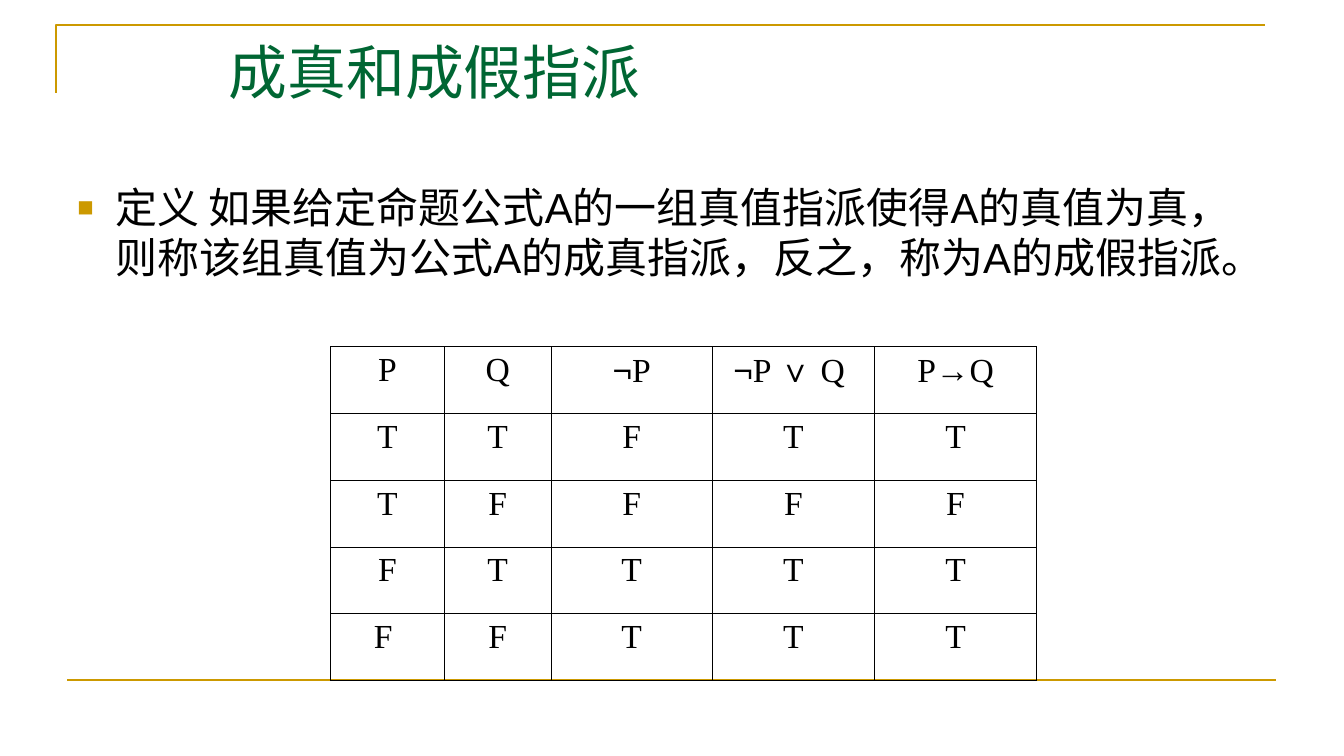
from dataclasses import dataclass
from itertools import groupby

from lxml import etree
from pptx import Presentation
from pptx.dml.color import RGBColor
from pptx.enum.shapes import MSO_CONNECTOR
from pptx.enum.text import MSO_ANCHOR, MSO_AUTO_SIZE, PP_ALIGN
from pptx.oxml.ns import qn
from pptx.util import Inches, Pt

STRAIGHT = MSO_CONNECTOR.STRAIGHT
TOP = MSO_ANCHOR.TOP
NO_AUTOFIT = MSO_AUTO_SIZE.NONE
LEFT, CENTER = PP_ALIGN.LEFT, PP_ALIGN.CENTER


@dataclass(frozen=True)
class Theme:
    gold: str = "CC9900"
    green: str = "006633"
    black: str = "000000"
    serif: str = "Times New Roman"
    sans: str = "Arial"
    title_size: float = 42
    body_size: float = 30
    table_size: float = 24
    rule_width: float = 1.5
    border_width: float = 0.45


THEME = Theme()
TITLE = "成真和成假指派"
DEFINITION = (
    "定义 如果给定命题公式A的一组真值指派使得A的真值为真，"
    "则称该组真值为公式A的成真指派，反之，称为A的成假指派。"
)
TRUTH_TABLE = [
    ["P", "Q", "¬P", "¬P ∨ Q ", "P→Q"],
    ["T", "T", "F", "T", "T"],
    ["T", "F", "F", "F", "F"],
    ["F", "T", "T", "T", "T"],
    ["F ", "F", "T", "T", "T"],
]
COLUMN_WIDTHS = [1.13, 1.06, 1.6, 1.61, 1.61]
SANS_SYMBOLS = "¬→"


def style_font(font, name, size, color):
    font.name = name
    font.size = Pt(size)
    font.color.rgb = RGBColor.from_string(color)


def style_rule(line):
    line.color.rgb = RGBColor.from_string(THEME.gold)
    line.width = Pt(THEME.rule_width)


def add_frame(slide, left, top, width, height):
    """Draw the corner bracket at the top left and the rule at the bottom."""
    bracket_height, rule_shift = 0.67, 0.11
    builder = slide.shapes.build_freeform(
        Inches(left), Inches(top + bracket_height)
    )
    corner = (Inches(left), Inches(top))
    end = (Inches(left + width), Inches(top))
    builder.add_line_segments([corner, end], close=False)
    bracket = builder.convert_to_shape()
    bracket.shadow.inherit = False
    bracket.fill.background()
    style_rule(bracket.line)

    rule_left, bottom = left + rule_shift, Inches(top + height)
    rule = slide.shapes.add_connector(
        STRAIGHT, Inches(rule_left), bottom, Inches(rule_left + width), bottom
    )
    style_rule(rule.line)
    etree.SubElement(rule._element.spPr, qn("a:effectLst"))


def set_title(slide, left, top, width, height):
    title = slide.shapes.title
    title.left, title.top = Inches(left), Inches(top)
    title.width, title.height = Inches(width), Inches(height)
    text_frame = title.text_frame
    text_frame.text = TITLE
    text_frame.vertical_anchor = TOP
    text_frame.auto_size = NO_AUTOFIT
    paragraph = text_frame.paragraphs[0]
    paragraph.alignment = LEFT
    style_font(paragraph.runs[0].font, THEME.serif, THEME.title_size, THEME.green)


def add_square_bullet(paragraph, indent):
    properties = paragraph._p.get_or_add_pPr()
    properties.set("marL", str(Inches(indent)))
    properties.set("indent", str(-Inches(indent)))
    color = etree.SubElement(properties, qn("a:buClr"))
    etree.SubElement(color, qn("a:srgbClr"), val=THEME.gold)
    etree.SubElement(properties, qn("a:buSzPct"), val="65000")
    etree.SubElement(properties, qn("a:buFont"), typeface=THEME.sans)
    etree.SubElement(properties, qn("a:buChar"), char="■")


def add_definition(slide, left, top, width, height):
    box = slide.shapes.add_textbox(
        Inches(left), Inches(top), Inches(width), Inches(height)
    )
    text_frame = box.text_frame
    text_frame.word_wrap = True
    text_frame.text = DEFINITION
    paragraph = text_frame.paragraphs[0]
    add_square_bullet(paragraph, 0.38)
    style_font(paragraph.runs[0].font, THEME.sans, THEME.body_size, THEME.black)


def set_borders(cell):
    properties = cell._tc.get_or_add_tcPr()
    for position, side in enumerate(("lnL", "lnR", "lnT", "lnB")):
        border = etree.Element(qn(f"a:{side}"), w=str(Pt(THEME.border_width)))
        fill = etree.SubElement(border, qn("a:solidFill"))
        etree.SubElement(fill, qn("a:srgbClr"), val=THEME.black)
        properties.insert(position, border)


def fill_cell(cell, text):
    """Write a centred formula, with its logic symbols in the sans font."""
    cell.fill.background()
    set_borders(cell)
    paragraph = cell.text_frame.paragraphs[0]
    paragraph.alignment = CENTER
    for is_symbol, letters in groupby(text, lambda letter: letter in SANS_SYMBOLS):
        run = paragraph.add_run()
        run.text = "".join(letters)
        name = THEME.sans if is_symbol else THEME.serif
        style_font(run.font, name, THEME.table_size, THEME.black)


def add_truth_table(slide, left, top, height):
    row_count = len(TRUTH_TABLE)
    table = slide.shapes.add_table(
        row_count, len(COLUMN_WIDTHS), Inches(left), Inches(top),
        Inches(sum(COLUMN_WIDTHS)), Inches(height),
    ).table
    table.first_row = False
    table.horz_banding = False
    for column, width in zip(table.columns, COLUMN_WIDTHS):
        column.width = Inches(width)
    for row, texts in zip(table.rows, TRUTH_TABLE):
        row.height = Inches(height / row_count)
        for cell, text in zip(row.cells, texts):
            fill_cell(cell, text)


def main():
    presentation = Presentation()
    presentation.slide_width = Inches(13.34)
    presentation.slide_height = Inches(7.5)
    title_only = presentation.slide_layouts.get_by_name("Title Only")
    slide = presentation.slides.add_slide(title_only)
    add_frame(slide, 0.56, 0.25, 12, 6.5)
    set_title(slide, 2.17, 0.3, 9, 1.25)
    add_definition(slide, 0.67, 1.75, 12, 4.95)
    add_truth_table(slide, 3.28, 3.44, 3.31)
    presentation.save("out.pptx")


if __name__ == "__main__":
    main()
